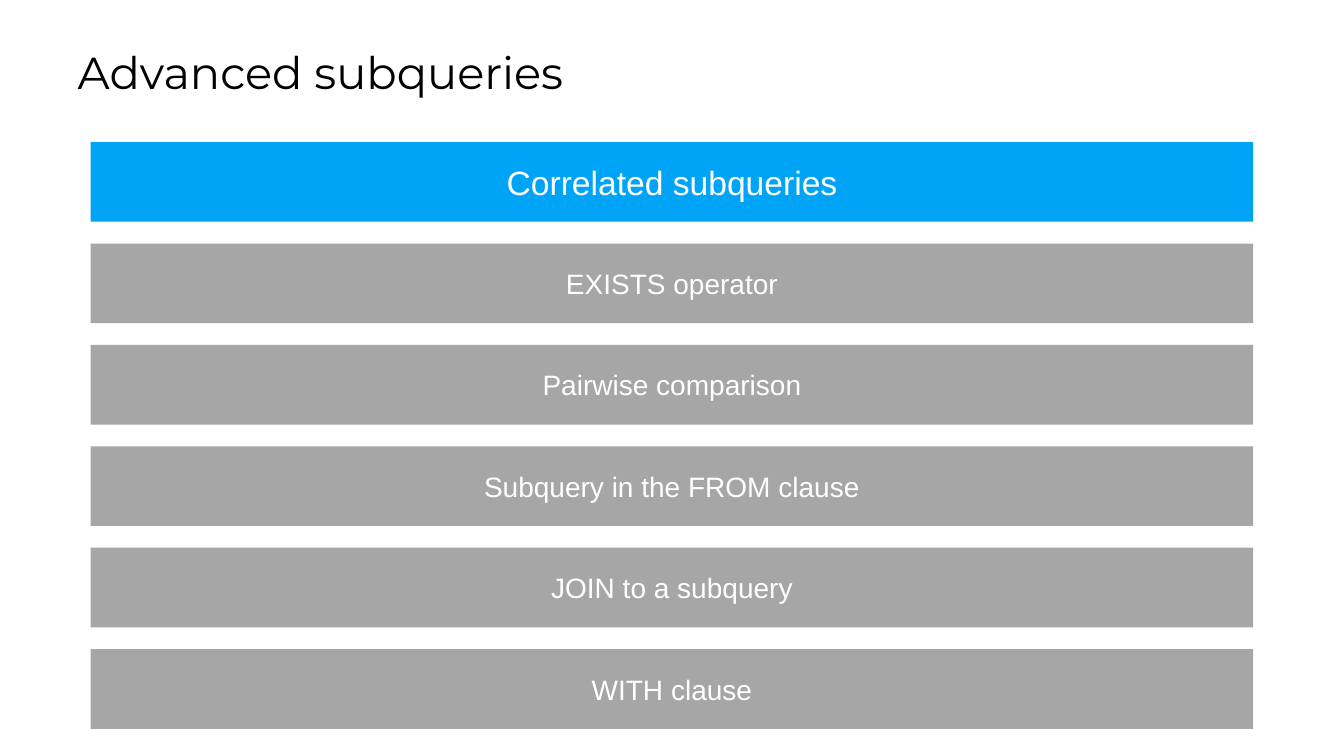
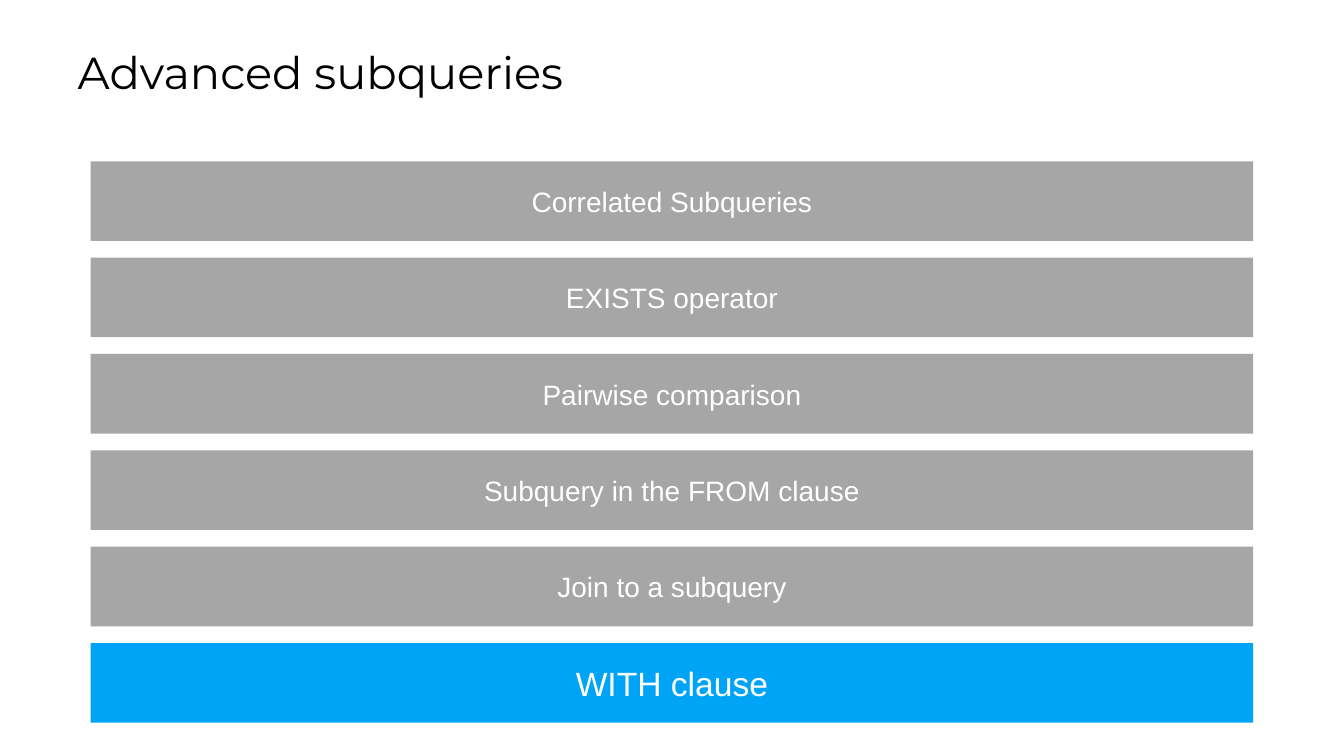
"""Build two agenda slides on advanced subqueries, each with one topic highlighted."""
from dataclasses import dataclass

from pptx import Presentation
from pptx.dml.color import RGBColor
from pptx.enum import shapes, text
from pptx.util import Inches, Pt

COLORS = {"active": "00A4F6", "muted": "A6A6A6", "light": "FFFFFF", "title": "000000"}
TITLE_FONT, BODY_FONT = "Montserrat", "Arial"
BAR_LEFT, BAR_WIDTH, BAR_HEIGHT = 0.9, 11.53, 0.79


@dataclass(frozen=True)
class Agenda:
    title: str
    topics: tuple[str, ...]
    active: int
    first_top: float
    last_top: float

    def top(self, i: int) -> float:
        return self.first_top + i * (self.last_top - self.first_top) / (len(self.topics) - 1)


AGENDAS = (
    Agenda(
        "Advanced subqueries",
        ("Correlated subqueries", "EXISTS operator", "Pairwise comparison",
         "Subquery in the FROM clause", "JOIN to a subquery", "WITH clause"),
        active=0, first_top=1.41, last_top=6.44,
    ),
    Agenda(
        "Advanced subqueries",
        ("Correlated Subqueries", "EXISTS operator", "Pairwise comparison",
         "Subquery in the FROM clause", "Join to a subquery", "WITH clause"),
        active=5, first_top=1.6, last_top=6.38,
    ),
)


def rgb(name: str) -> RGBColor:
    return RGBColor.from_string(COLORS[name])


def write(sp, words: str, font: str, size: int, color: str, align) -> None:
    tf = sp.text_frame
    tf.word_wrap = True
    tf.vertical_anchor = text.MSO_ANCHOR.MIDDLE
    p = tf.paragraphs[0]
    p.alignment = align
    r = p.add_run()
    r.text = words
    r.font.name = font
    r.font.size = Pt(size)
    r.font.color.rgb = rgb(color)


def add_title(s, words: str) -> None:
    sp = s.shapes.title
    sp.left, sp.top = Inches(0.67), Inches(0.39)
    sp.width, sp.height = Inches(12.06), Inches(0.64)
    write(sp, words, TITLE_FONT, 32, "title", text.PP_ALIGN.LEFT)
    sp.text_frame.auto_size = text.MSO_AUTO_SIZE.SHAPE_TO_FIT_TEXT


def add_bar(s, words: str, top: float, active: bool) -> None:
    sp = s.shapes.add_shape(
        shapes.MSO_SHAPE.RECTANGLE,
        Inches(BAR_LEFT), Inches(top), Inches(BAR_WIDTH), Inches(BAR_HEIGHT),
    )
    sp.shadow.inherit = False
    sp.fill.solid()
    sp.fill.fore_color.rgb = rgb("active" if active else "muted")
    sp.line.fill.background()
    write(sp, words, BODY_FONT, 24 if active else 20, "light", text.PP_ALIGN.CENTER)


def add_agenda(prs, agenda: Agenda) -> None:
    s = prs.slides.add_slide(prs.slide_layouts.get_by_name("Title Only"))
    add_title(s, agenda.title)
    for i, topic in enumerate(agenda.topics):
        add_bar(s, topic, agenda.top(i), i == agenda.active)


def main() -> None:
    prs = Presentation()
    prs.slide_width, prs.slide_height = Inches(13.33), Inches(7.5)
    bg = prs.slide_master.background.fill
    bg.solid()
    bg.fore_color.rgb = rgb("light")
    for agenda in AGENDAS:
        add_agenda(prs, agenda)
    prs.save("out.pptx")


if __name__ == "__main__":
    main()
